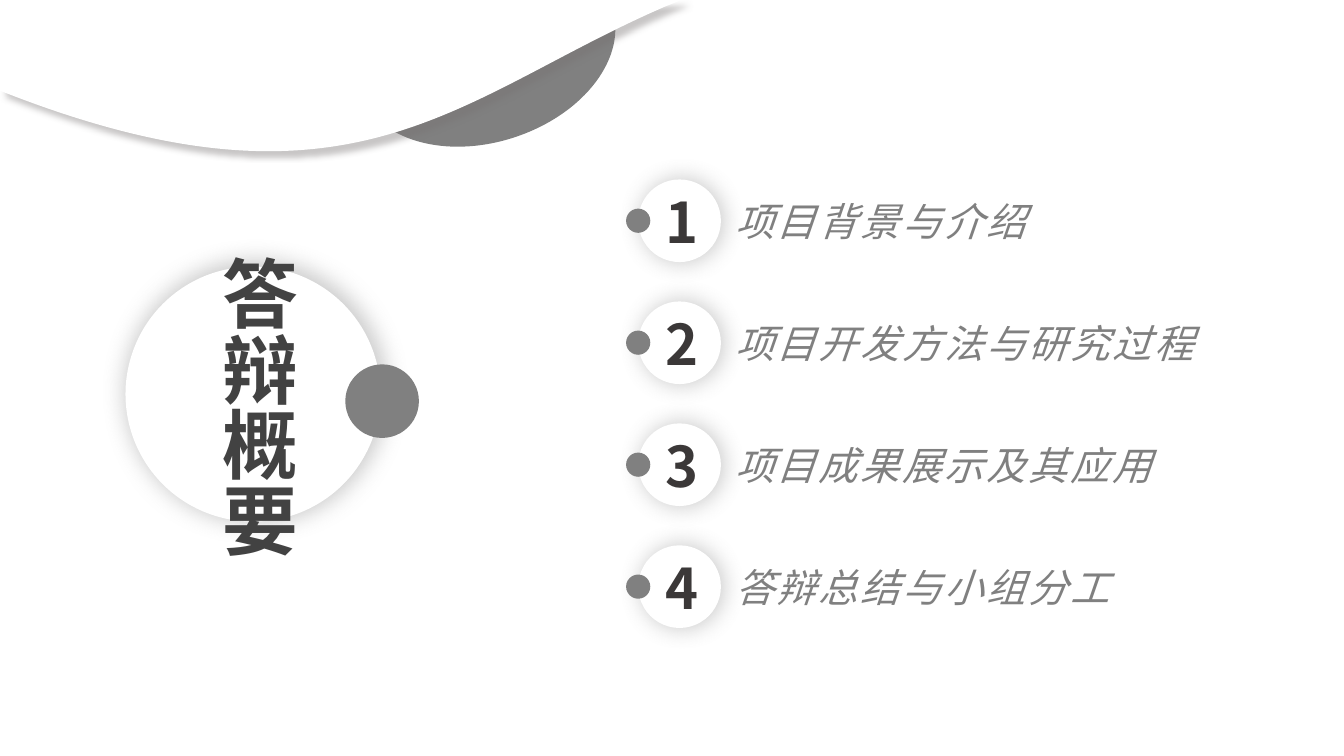
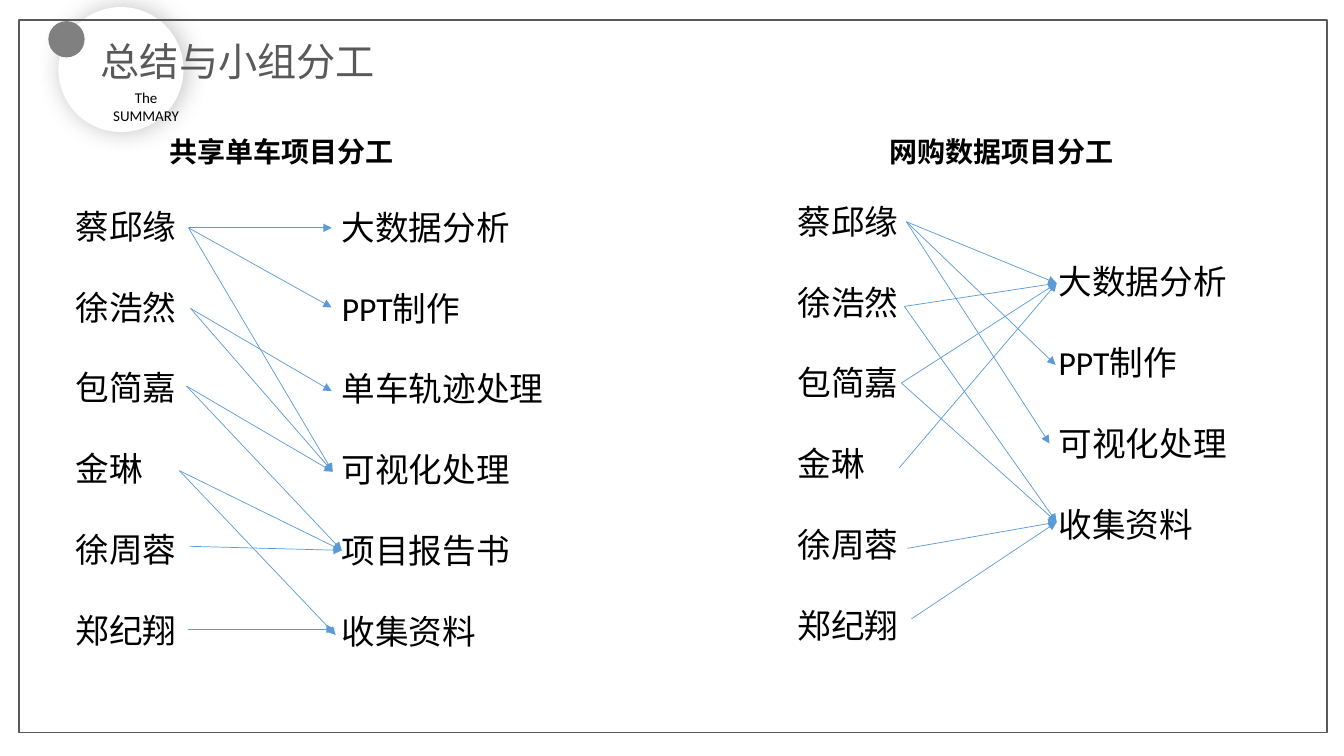
from dataclasses import dataclass

from lxml.etree import SubElement
from pptx import Presentation
from pptx.dml.color import RGBColor
from pptx.enum.shapes import MSO_CONNECTOR, MSO_SHAPE
from pptx.enum.text import MSO_ANCHOR, MSO_AUTO_SIZE, PP_ALIGN
from pptx.oxml.ns import qn
from pptx.util import Inches, Pt

Point = tuple[float, float]
Box = tuple[float, float, float, float]
Segment = tuple[Point, ...]  # one point for a line, three for a cubic curve


# Theme
@dataclass(frozen=True)
class TextStyle:
    size: float
    color: str
    font: str = "Noto Sans CJK SC"
    bold: bool = False
    italic: bool = False
    tracking: float = 0
    align: PP_ALIGN = PP_ALIGN.LEFT
    line_height: float | None = None
    gap: float = 0


@dataclass(frozen=True)
class Shadow:
    color: str
    opacity: int
    blur: float
    distance: float
    angle: int
    scale: int = 100
    align: str = "ctr"


@dataclass(frozen=True)
class Theme:
    white: str = "FFFFFF"
    gray: str = "808080"
    frame: str = "595959"
    arrow: str = "5B9BD5"
    east_asian_font: str = "Noto Sans CJK SC"
    badge_shadow: Shadow = Shadow("808080", 40, 16, 2, 30, 103, "b")
    wave_shadow: Shadow = Shadow("767171", 40, 4, 6, 45)
    agenda_title: TextStyle = TextStyle(54, "424242", bold=True)
    number: TextStyle = TextStyle(40, "3B3838", bold=True, tracking=2, align=PP_ALIGN.CENTER)
    agenda: TextStyle = TextStyle(28, "808080", italic=True, tracking=2, line_height=33.6, gap=53.5)
    title: TextStyle = TextStyle(28, "595959", "Courier New")
    caption: TextStyle = TextStyle(10.7, "000000", "Calibri", align=PP_ALIGN.CENTER)
    heading: TextStyle = TextStyle(20, "000000", "Calibri", bold=True)
    names: TextStyle = TextStyle(24, "000000", "Calibri", line_height=28.85, gap=28.85)


THEME = Theme()


# Content
@dataclass(frozen=True)
class Badge:
    center: Point
    diameter: float
    dot_center: Point
    dot_diameter: float


@dataclass(frozen=True)
class Assignment:
    heading: str
    heading_left: float
    names_at: Point
    tasks_at: Point
    tasks: list[str]
    starts: list[Point]
    ends: list[Point]
    links: list[tuple[int, int]]


AGENDA = ["项目背景与介绍", "项目开发方法与研究过程", "项目成果展示及其应用", "答辩总结与小组分工"]
MEMBERS = ["蔡邱缘", "徐浩然", "包简嘉", "金琳", "徐周蓉", "郑纪翔"]
ASSIGNMENTS = [
    Assignment(
        "共享单车项目分工", 1.68, (0.75, 2.04), (3.39, 2.05),
        ["大数据分析", "PPT制作", "单车轨迹处理", "可视化处理", "项目报告书", "收集资料"],
        [(1.87, 2.26), (1.89, 3.06), (1.85, 3.83), (1.78, 4.67), (1.88, 5.42), (1.86, 6.24)],
        [(3.29, 2.26), (3.29, 3.05), (3.29, 3.88), (3.3, 4.68), (3.39, 5.46), (3.33, 6.3), (3.32, 6.24)],
        [(0, 0), (0, 1), (0, 3), (1, 2), (1, 3), (2, 4), (2, 3), (3, 4), (3, 5), (4, 4), (5, 6)],
    ),
    Assignment(
        "网购数据项目分工", 8.82, (7.91, 1.99), (10.5, 2.59),
        ["大数据分析", "PPT制作", "可视化处理", "收集资料"],
        [(8.99, 2.2), (8.97, 3.04), (8.94, 3.8), (8.92, 4.64), (9, 5.44), (9.04, 6.14)],
        [(10.48, 2.81), (10.47, 3.62), (10.41, 4.4), (10.48, 5.18)],
        [(0, 1), (0, 0), (0, 2), (1, 0), (1, 3), (2, 3), (2, 0), (3, 0), (4, 3), (5, 3)],
    ),
]


# Drawing helpers
def color(value: str) -> RGBColor:
    return RGBColor.from_string(value)


def write(shape, lines: list[str], style: TextStyle, anchor=MSO_ANCHOR.MIDDLE) -> None:
    frame = shape.text_frame
    frame.word_wrap = True
    frame.auto_size = MSO_AUTO_SIZE.NONE
    frame.vertical_anchor = anchor
    frame.margin_left = frame.margin_right = frame.margin_top = frame.margin_bottom = 0
    for index, line in enumerate(lines):
        paragraph = frame.add_paragraph() if index else frame.paragraphs[0]
        paragraph.text = line
        paragraph.alignment = style.align
        paragraph.space_before = Pt(style.gap if index else 0)
        paragraph.line_spacing = Pt(style.line_height) if style.line_height else 1.0
        properties = paragraph._p.get_or_add_pPr()
        properties.set("marL", "0")
        properties.set("indent", "0")
        SubElement(properties, qn("a:buNone"))
        font = paragraph.font
        font.size = Pt(style.size)
        font.bold = style.bold
        font.italic = style.italic
        font.color.rgb = color(style.color)
        font.name = style.font
        defaults = properties.find(qn("a:defRPr"))
        defaults.set("spc", str(int(style.tracking * 100)))
        SubElement(defaults, qn("a:ea"), typeface=THEME.east_asian_font)


def place(shape, box: Box) -> None:
    """Move a placeholder and bring it in front of what is drawn so far."""
    shape.left, shape.top, shape.width, shape.height = map(Inches, box)
    shape._element.getparent().append(shape._element)


def add_text(slide, box: Box, lines: list[str], style: TextStyle, anchor=MSO_ANCHOR.MIDDLE) -> None:
    write(slide.shapes.add_textbox(*map(Inches, box)), lines, style, anchor)


def paint(shape, fill: str, shadow: Shadow | None = None) -> None:
    shape.fill.solid()
    shape.fill.fore_color.rgb = color(fill)
    shape.line.fill.background()
    shape.shadow.inherit = False
    if shadow:
        effects = shape._element.spPr.find(qn("a:effectLst"))
        scale = str(shadow.scale * 1000)
        outer = SubElement(
            effects, qn("a:outerShdw"), blurRad=str(Pt(shadow.blur)), dist=str(Pt(shadow.distance)),
            dir=str(shadow.angle * 60000), sx=scale, sy=scale, algn=shadow.align, rotWithShape="0",
        )
        shade = SubElement(outer, qn("a:srgbClr"), val=shadow.color)
        SubElement(shade, qn("a:alpha"), val=str(shadow.opacity * 1000))


def add_circle(slide, center: Point, diameter: float, fill: str, shadow: Shadow | None = None) -> None:
    left, top = (value - diameter / 2 for value in center)
    circle = slide.shapes.add_shape(MSO_SHAPE.OVAL, *map(Inches, (left, top, diameter, diameter)))
    paint(circle, fill, shadow)


def add_badge(slide, badge: Badge) -> None:
    add_circle(slide, badge.center, badge.diameter, THEME.white, THEME.badge_shadow)
    add_circle(slide, badge.dot_center, badge.dot_diameter, THEME.gray)


def add_outline(
    slide, start: Point, segments: list[Segment], bottom: float, fill: str, shadow: Shadow | None = None
) -> None:
    """Draw a closed outline of lines and curves that reaches down to bottom."""
    builder = slide.shapes.build_freeform(*map(Inches, start))
    builder.add_line_segments([tuple(map(Inches, segment[-1])) for segment in segments], close=True)
    shape = builder.convert_to_shape()
    outline = next(shape._element.spPr.iter(qn("a:path")))
    for line, segment in zip(outline.findall(qn("a:lnTo")), segments):
        if len(segment) == 3:
            curve = SubElement(outline, qn("a:cubicBezTo"))
            for x, y in segment:
                SubElement(curve, qn("a:pt"), x=str(Inches(x) - shape.left), y=str(Inches(y) - shape.top))
            outline.replace(line, curve)
    shape.height = Inches(bottom) - shape.top
    outline.set("h", str(shape.height))
    paint(shape, fill, shadow)


def add_arrow(slide, start: Point, end: Point) -> None:
    arrow = slide.shapes.add_connector(MSO_CONNECTOR.STRAIGHT, *map(Inches, (*start, *end)))
    arrow.line.color.rgb = color(THEME.arrow)
    arrow.line.width = Pt(0.5)
    properties = arrow._element.spPr
    SubElement(properties.find(qn("a:ln")), qn("a:tailEnd"), type="triangle")
    SubElement(properties, qn("a:effectLst"))


# Slides
def build_agenda(presentation) -> None:
    slide = presentation.slides.add_slide(presentation.slide_layouts[1])

    # Top wave over a gray drop
    drop = [
        ((6.04, 0),),
        ((6.07, 0.08),),
        ((6.23, 0.56), (5.8, 1.13), (5.11, 1.36)),
        ((4.42, 1.59), (3.73, 1.39), (3.57, 0.91)),
        ((3.47, 0.61), (3.6, 0.27), (3.88, 0.01)),
    ]
    add_outline(slide, (3.89, 0), drop, 1.45, THEME.gray)
    wave = [((6.76, 0),), ((6.61, 0.06),), ((4.54, 0.95), (3.52, 2.29), (0, 0.9))]
    add_outline(slide, (0, 0), wave, 1.5, THEME.white, THEME.wave_shadow)

    # Vertical title on the large badge
    add_badge(slide, Badge((2.51, 3.91), 2.53, (3.79, 3.98), 0.73))
    title = slide.shapes.title
    place(title, (1.95, 2.54, 1.2, 3.1))
    write(title, ["答辩概要"], THEME.agenda_title)
    title.text_frame._txBody.bodyPr.set("vert", "eaVert")

    # Numbered agenda
    for index in range(len(AGENDA)):
        middle = 2.19 + 1.21 * index
        add_badge(slide, Badge((6.74, middle), 0.82, (6.33, middle), 0.24))
        add_text(slide, (6.19, middle - 0.33, 1.15, 0.67), [str(index + 1)], THEME.number)
    body = slide.placeholders[1]
    place(body, (7.29, 1.96, 5.8, 4.2))
    write(body, AGENDA, THEME.agenda, MSO_ANCHOR.TOP)


def build_assignments(presentation) -> None:
    slide = presentation.slides.add_slide(presentation.slide_layouts[4])

    # Title badge and frame
    add_badge(slide, Badge((1.2, 0.69), 1.24, (0.66, 0.39), 0.36))
    place(slide.shapes.title, (1, 0.37, 4.33, 0.47))
    write(slide.shapes.title, ["总结与小组分工"], THEME.title)
    add_text(slide, (1.05, 0.88, 0.8, 0.36), ["The SUMMARY"], THEME.caption)
    frame = slide.shapes.add_shape(MSO_SHAPE.RECTANGLE, *map(Inches, (0.19, 0.2, 12.97, 7.07)))
    frame.fill.background()
    frame.line.color.rgb = color(THEME.frame)
    frame.line.width = Pt(1)
    frame.shadow.inherit = False

    # Members, tasks and the arrows between them
    for index, group in enumerate(ASSIGNMENTS):
        heading, names = (slide.placeholders[2 * index + offset] for offset in (1, 2))
        place(heading, (group.heading_left, 1.28, 2.6, 0.44))
        write(heading, [group.heading], THEME.heading)
        place(names, (*group.names_at, 1.15, 4.5))
        write(names, MEMBERS, THEME.names, MSO_ANCHOR.TOP)
        tasks_height = 0.8 * len(group.tasks) - 0.3
        add_text(slide, (*group.tasks_at, 2.2, tasks_height), group.tasks, THEME.names, MSO_ANCHOR.TOP)
        for start, end in group.links:
            add_arrow(slide, group.starts[start], group.ends[end])


def main() -> None:
    presentation = Presentation()
    presentation.slide_width = Inches(13.33)
    presentation.slide_height = Inches(7.5)
    build_agenda(presentation)
    build_assignments(presentation)
    presentation.save("out.pptx")


if __name__ == "__main__":
    main()
